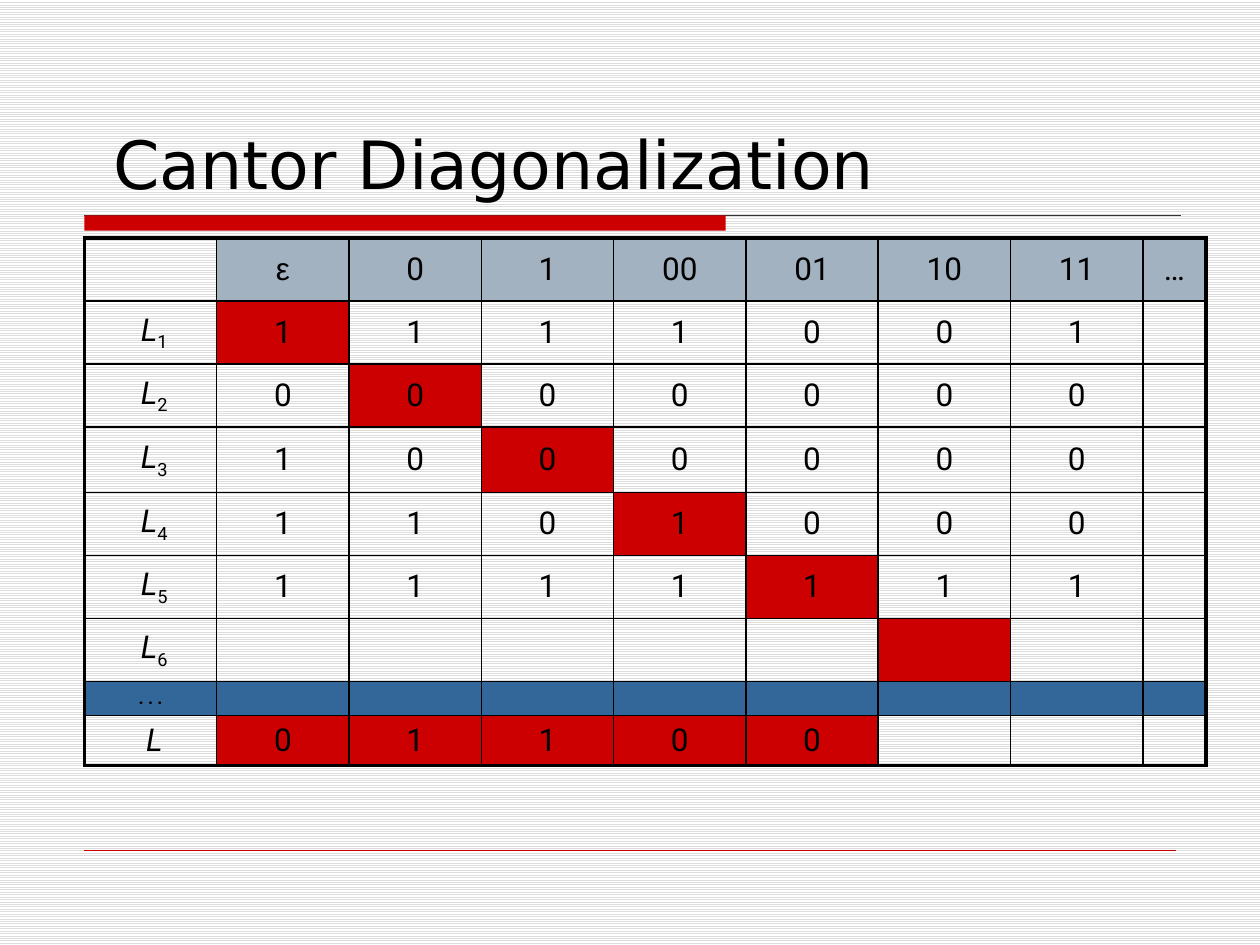
import pptx
import pptx.util
import pptx.dml.color
import pptx.enum.dml
import pptx.enum.shapes
import pptx.enum.text
import pptx.oxml
import pptx.oxml.ns
import lxml.etree
from dataclasses import dataclass

Inches, Pt = pptx.util.Inches, pptx.util.Pt
RGB = pptx.dml.color.RGBColor.from_string
qn = pptx.oxml.ns.qn
ALIGN = pptx.enum.text.PP_ALIGN
ANCHOR = pptx.enum.text.MSO_ANCHOR


@dataclass(frozen=True)
class Theme:
    ink: str = "000000"
    paper: str = "FFFFFF"
    stripe: str = "DDDDDD"
    red: str = "CC0000"
    rule: str = "333333"
    header: str = "A3B2C1"
    blue: str = "336699"
    title_font: str = "DejaVu Sans"
    body_font: str = "Roboto"
    symbol_font: str = "Arial"
    title_size: float = 38
    body_size: float = 18
    dots_size: float = 10
    thin: float = 1
    thick: float = 2.25


T = Theme()

HEADER = ["", "ε", "0", "1", "00", "01", "10", "11", "…"]
LANGUAGES = ["1111001", "0000000", "1000000", "1101000", "1111111", ""]
DIAGONAL = "01100"
COL_WIDTHS = [1.05] * 8 + [0.5]
ROW_HEIGHTS = [0.5] * 3 + [0.52] + [0.5] * 3 + [0.26, 0.4]


def add_text(p, text, font=T.body_font, size=T.body_size, bold=False,
             italic=False, baseline=0):
    r = p.add_run()
    r.text = text
    f = r.font
    f.name, f.size, f.bold, f.italic = font, Pt(size), bold, italic
    f.color.rgb = RGB(T.ink)
    if baseline:
        r._r.get_or_add_rPr().set("baseline", str(baseline * 1000))


def add_rule(s, x, y, width, color, weight):
    line = s.shapes.add_connector(pptx.enum.shapes.MSO_CONNECTOR.STRAIGHT,
                                  Inches(x), Inches(y), Inches(x + width), Inches(y))
    line.line.color.rgb = RGB(color)
    line.line.width = Pt(weight)
    lxml.etree.SubElement(line._element.spPr, qn("a:effectLst"))


def add_background(s):
    fill = s.background.fill
    fill.patterned()
    fill.pattern = pptx.enum.dml.MSO_PATTERN.LIGHT_HORIZONTAL
    fill.fore_color.rgb = RGB(T.stripe)
    fill.back_color.rgb = RGB(T.paper)


def add_title(s, x, y, w, h, text):
    tf = s.shapes.add_textbox(Inches(x), Inches(y), Inches(w), Inches(h)).text_frame
    tf.word_wrap = True
    tf.vertical_anchor = ANCHOR.BOTTOM
    tf.margin_left = Inches(0.27)
    add_text(tf.paragraphs[0], text, font=T.title_font, size=T.title_size)


def add_title_bar(s, x, y, w, h):
    add_rule(s, x, y, w, T.rule, 0.75)
    bar = s.shapes.add_shape(pptx.enum.shapes.MSO_SHAPE.RECTANGLE,
                             Inches(x), Inches(y), Inches(5.09), Inches(h))
    bar.shadow.inherit = False
    bar.fill.solid()
    bar.fill.fore_color.rgb = RGB(T.red)
    bar.line.fill.background()


def set_borders(cell, **widths):
    tcPr = cell._tc.get_or_add_tcPr()
    for i, side in enumerate("LRTB"):
        ln = lxml.etree.Element(qn("a:ln" + side), w=str(Pt(widths[side])))
        fill = lxml.etree.SubElement(ln, qn("a:solidFill"))
        lxml.etree.SubElement(fill, qn("a:srgbClr"), val=T.ink)
        tcPr.insert(i, ln)


def cell_fill(row, col):
    last = len(ROW_HEIGHTS) - 1
    if row == last - 1:
        return T.blue
    if row == 0:
        return T.header if col else None
    if row == last:
        return T.red if 1 <= col <= len(DIAGONAL) else None
    return T.red if row == col else None


def cell_runs(row, col):
    """Return the (text, format) runs of one cell."""
    last = len(ROW_HEIGHTS) - 1
    if row == 0:
        font = T.symbol_font if HEADER[col] == "ε" else T.body_font
        return [(HEADER[col], dict(font=font))] if HEADER[col] else []
    if row == last - 1:
        return [] if col else [(". . .", dict(size=T.dots_size, bold=True))]
    if col == 0:
        name = [("L", dict(italic=True))]
        return name if row == last else name + [(str(row), dict(baseline=-25))]
    bits = DIAGONAL if row == last else LANGUAGES[row - 1]
    return [(bits[col - 1], {})] if col <= len(bits) else []


def add_membership_table(s, x, y):
    n_rows, n_cols = len(ROW_HEIGHTS), len(COL_WIDTHS)
    table = s.shapes.add_table(n_rows, n_cols, Inches(x), Inches(y),
                               Inches(sum(COL_WIDTHS)), Inches(sum(ROW_HEIGHTS))).table
    table.first_row = table.horz_banding = False
    for column, width in zip(table.columns, COL_WIDTHS):
        column.width = Inches(width)
    for row, height in zip(table.rows, ROW_HEIGHTS):
        row.height = Inches(height)

    for i in range(n_rows):
        for j in range(n_cols):
            cell = table.cell(i, j)
            cell.vertical_anchor = ANCHOR.MIDDLE
            # Row names sit slightly right of centre
            if j == 0 and 0 < i != n_rows - 2:
                cell.margin_left = Inches(0.16)
            color = cell_fill(i, j)
            if color:
                cell.fill.solid()
                cell.fill.fore_color.rgb = RGB(color)
            else:
                cell.fill.background()
            # Thick frame, thin inner lines
            edges = dict(L=j == 0, R=j == n_cols - 1, T=i == 0, B=i == n_rows - 1)
            set_borders(cell, **{k: T.thick if v else T.thin for k, v in edges.items()})

            p = cell.text_frame.paragraphs[0]
            p.alignment = ALIGN.CENTER
            runs = cell_runs(i, j)
            for text, fmt in runs:
                add_text(p, text, **fmt)
            if not runs:
                # Small empty text keeps the dotted row low
                lxml.etree.SubElement(p._p, qn("a:endParaRPr"),
                                      sz=str(int(T.dots_size * 100)))


def build_slide(prs):
    s = prs.slides.add_slide(prs.slide_layouts[6])
    add_background(s)
    add_title_bar(s, 0.67, 1.71, 8.7, 0.12)
    add_rule(s, 0.67, 6.75, 8.66, T.red, 0.25)
    add_title(s, 0.63, 0.33, 8.75, 1.33, "Cantor Diagonalization")
    add_membership_table(s, 0.67, 1.89)


prs = pptx.Presentation()
prs.slide_width, prs.slide_height = Inches(10), Inches(7.5)
build_slide(prs)
prs.save("out.pptx")
